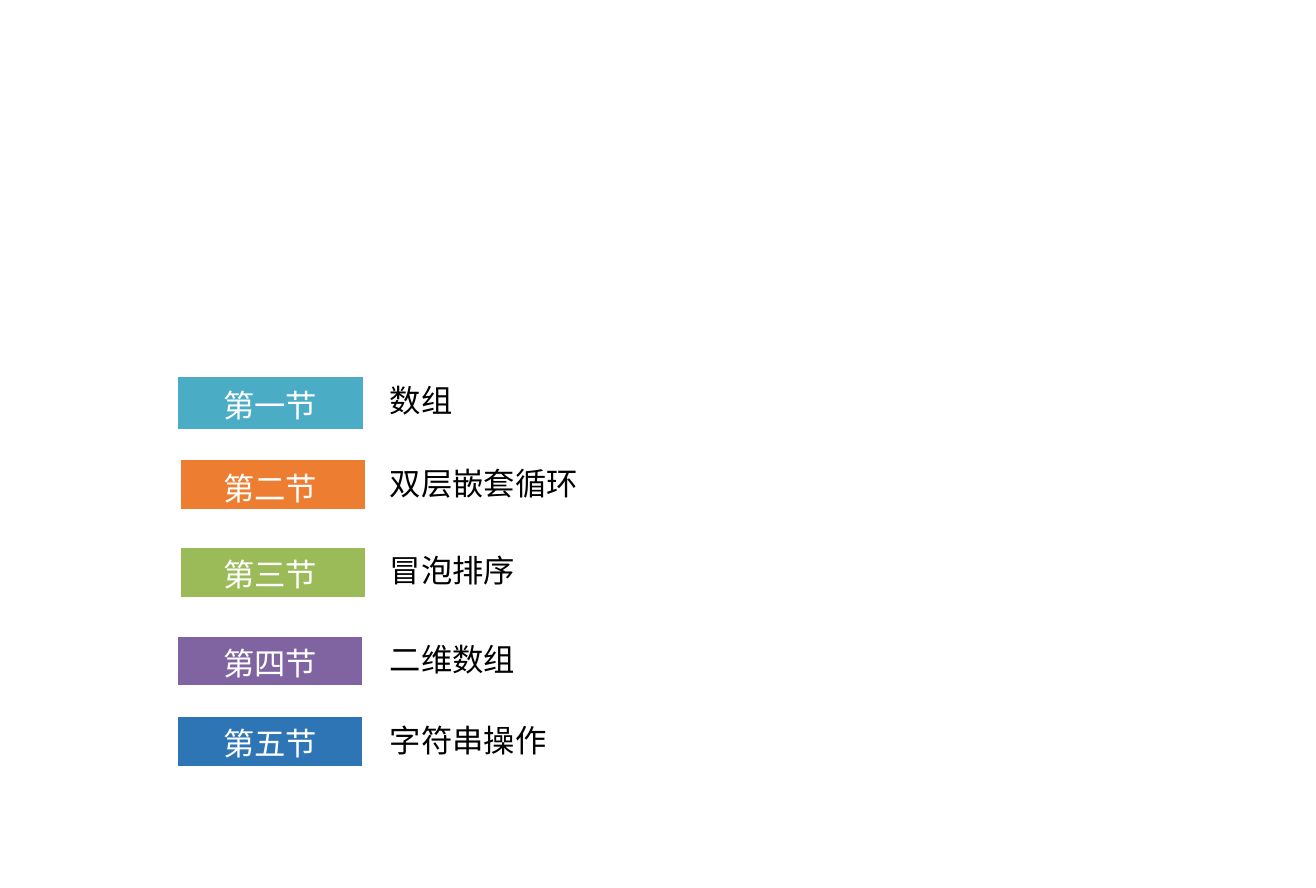
import dataclasses

import lxml.etree
import pptx
import pptx.dml.color
import pptx.enum.shapes
import pptx.enum.text
import pptx.oxml.ns
import pptx.util

Inches = pptx.util.Inches
Color = pptx.dml.color.RGBColor.from_string

SLIDE_SIZE = (10.5, 85 / 12)
SECTIONS = [
    ("第一节", "数组", "4BACC6", (1.4, 2.99, 1.52, 0.45), 3.03),
    ("第二节", "双层嵌套循环", "ED7D31", (1.42, 3.65, 1.51, 0.43), 3.69),
    ("第三节", "冒泡排序", "9BBB59", (1.42, 4.35, 1.51, 0.43), 4.38),
    ("第四节", "二维数组", "8064A2", (1.4, 5.06, 1.51, 0.43), 5.09),
    ("第五节", "字符串操作", "2E75B6", (1.4, 5.7, 1.51, 0.43), 5.73),
]
LABEL_LEFT, TITLE_LEFT = 1.73, 3.06
TEXT_HEIGHT, CHARACTER_WIDTH, TEXT_PADDING = 0.4, 0.25, 0.11


@dataclasses.dataclass(frozen=True)
class Theme:
    font: str = "Noto Sans CJK SC"
    size: int = 18
    border: int = 3
    white: str = "FFFFFF"
    black: str = "000000"


THEME = Theme()
FRAME_FORMAT = {
    "margin_left": Inches(0.05),
    "margin_top": Inches(0.05),
    "margin_right": Inches(0.05),
    "margin_bottom": Inches(0.05),
    "word_wrap": False,
    "auto_size": pptx.enum.text.MSO_AUTO_SIZE.SHAPE_TO_FIT_TEXT,
}
FONT_FORMAT = {"name": THEME.font, "size": pptx.util.Pt(THEME.size)}


def apply_format(target, values):
    for name, value in values.items():
        setattr(target, name, value)


def add_badge(slide, color, box):
    shape = slide.shapes.add_shape(
        pptx.enum.shapes.MSO_SHAPE.RECTANGLE, *map(Inches, box)
    )
    shape.shadow.inherit = False
    shape.fill.solid()
    shape.fill.fore_color.rgb = Color(color)
    shape.line.color.rgb = Color(THEME.white)
    shape.line.width = pptx.util.Pt(THEME.border)


def add_text(slide, text, left, top, color):
    width = len(text) * CHARACTER_WIDTH + TEXT_PADDING
    shape = slide.shapes.add_textbox(*map(Inches, (left, top, width, TEXT_HEIGHT)))
    apply_format(shape.text_frame, FRAME_FORMAT)
    run = shape.text_frame.paragraphs[0].add_run()
    run.text = text
    apply_format(run.font, FONT_FORMAT)
    run.font.color.rgb = Color(color)
    properties = run._r.get_or_add_rPr()
    lxml.etree.SubElement(
        properties, pptx.oxml.ns.qn("a:ea"), typeface=THEME.font
    )


def main():
    presentation = pptx.Presentation()
    presentation.slide_width, presentation.slide_height = map(Inches, SLIDE_SIZE)
    slide = presentation.slides.add_slide(presentation.slide_layouts[6])
    for label, title, color, box, label_top in SECTIONS:
        add_badge(slide, color, box)
        add_text(slide, label, LABEL_LEFT, label_top, THEME.white)
        add_text(slide, title, TITLE_LEFT, box[1], THEME.black)
    presentation.save("out.pptx")


if __name__ == "__main__":
    main()
